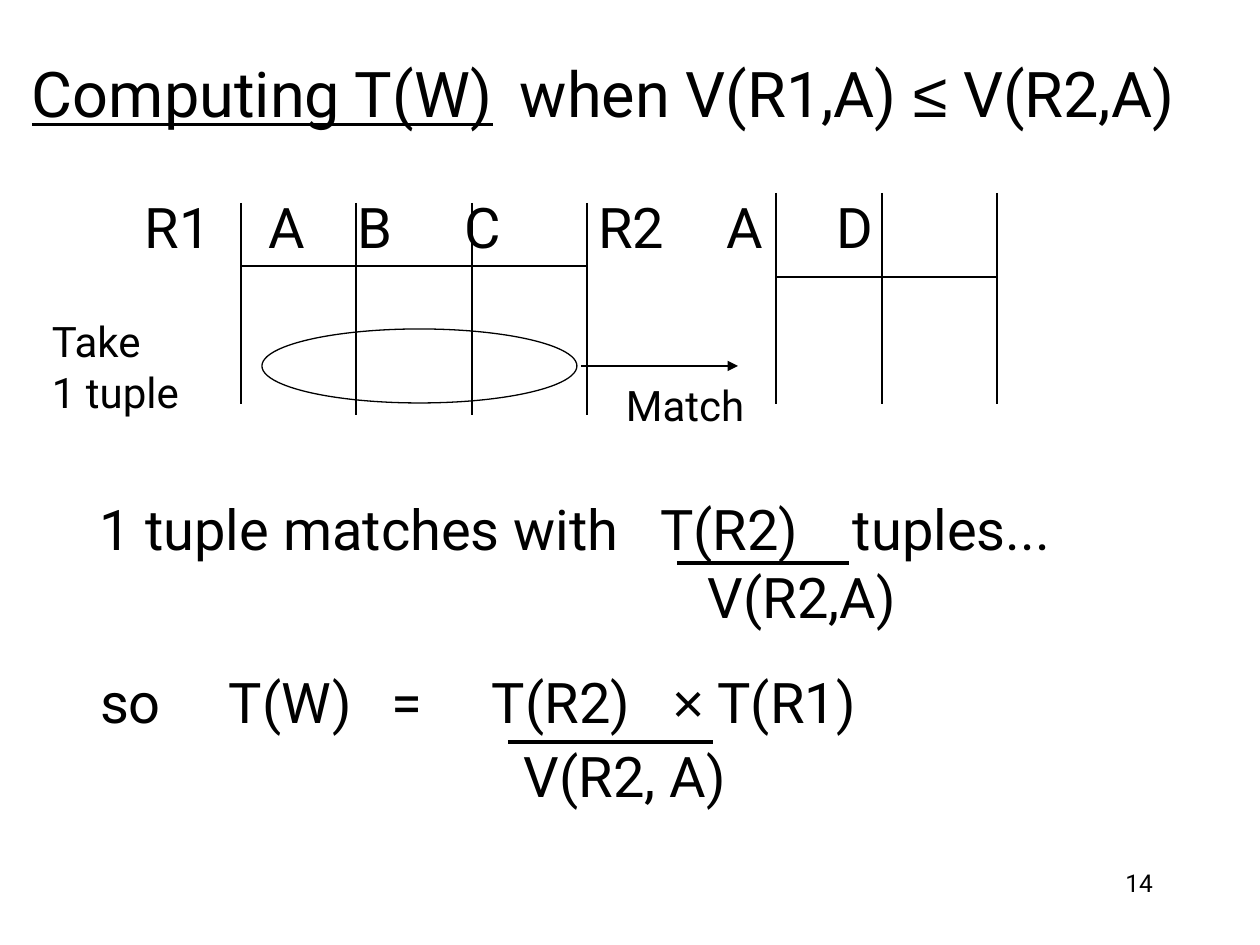
from lxml import etree
from pptx import Presentation
from pptx.dml.color import RGBColor
from pptx.enum.shapes import MSO_CONNECTOR, MSO_SHAPE
from pptx.enum.text import PP_ALIGN
from pptx.oxml.ns import qn
from pptx.util import Pt

LINE = MSO_CONNECTOR.STRAIGHT
OVAL = MSO_SHAPE.OVAL
LEFT, RIGHT = PP_ALIGN.LEFT, PP_ALIGN.RIGHT
SCALE = 914400 // 126
COLORS = {"ink": "000000"}
FONT, SIGN_FONT = "Roboto", "Arial"
SIGNS = "≤×"
INK = RGBColor.from_string(COLORS["ink"])


def px(*sizes):
    """Turn px lengths into EMU."""
    return [size * SCALE for size in sizes]


def add_text(slide, text, x, base, width, size=32, align=LEFT, under=False):
    """Add lines of text whose first baseline lies at base."""
    lines = text.split("\n")
    em = size * 1.75
    top, height = round(base - 0.93 * em), round(1.17 * em * len(lines))
    frame = slide.shapes.add_textbox(*px(x, top, width, height)).text_frame
    frame.word_wrap = True
    frame.margin_left = frame.margin_right = 0
    frame.margin_top = frame.margin_bottom = 0
    for i, line in enumerate(lines):
        para = frame.add_paragraph() if i else frame.paragraphs[0]
        para.alignment = align
        font = para.font
        font.size, font.underline = Pt(size), under
        font.color.rgb = INK
        signs = [c for c in line if c in SIGNS]
        if not signs:
            font.name = FONT
            para.add_run().text = line
            continue
        for part in line.partition(signs[0]):
            if part:
                run = para.add_run()
                run.text = part
                run.font.name = SIGN_FONT if part in SIGNS else FONT


def add_line(slide, x1, y1, x2, y2, width=0.75, arrow=False):
    """Add a straight line, with an arrowhead at its end if asked."""
    line = slide.shapes.add_connector(LINE, *px(x1, y1, x2, y2))
    line.line.color.rgb = INK
    line.line.width = Pt(width)
    if arrow:
        etree.SubElement(line.line._get_or_add_ln(), qn("a:tailEnd"), type="triangle")
    etree.SubElement(line._element.spPr, qn("a:effectLst"))


def add_grid(slide, cols, top, rule, ends):
    """Add the ruled outline of a relation."""
    add_line(slide, cols[0], rule, cols[-1], rule)
    for x, end in zip(cols, ends):
        add_line(slide, x, top, x, end)


def add_oval(slide, x, y, width, height):
    """Add an unfilled ellipse."""
    oval = slide.shapes.add_shape(OVAL, *px(x, y, width, height))
    oval.shadow.inherit = False
    oval.fill.background()
    oval.line.color.rgb = INK
    oval.line.width = Pt(0.75)


def add_row(slide, base, items):
    """Add texts that share a baseline."""
    for text, x, width in items:
        add_text(slide, text, x, base, width)


def main():
    """Build the slide."""
    deck = Presentation()
    deck.slide_width, deck.slide_height = px(1260, 945)
    slide = deck.slides.add_slide(deck.slide_layouts[6])

    add_text(slide, "Computing T(W)", 32, 114, 475, 36, under=True)
    add_text(slide, "when V(R1,A) ≤ V(R2,A)", 520, 114, 690, 36)

    add_grid(slide, [241, 356, 472, 587], 203, 266, [404, 415, 415, 415])
    add_grid(slide, [776, 882, 997], 193, 277, [404, 404, 404])
    add_row(slide, 245, [
        ("R1", 145, 80), ("A", 269, 50), ("B", 358, 50), ("C", 465, 50),
        ("R2", 598, 80), ("A", 727, 50), ("D", 837, 50),
    ])

    add_text(slide, "Take\n1 tuple", 52, 355, 140, 24)
    add_oval(slide, 262, 329, 315, 74)
    add_line(slide, 581, 366, 738, 366, arrow=True)
    add_text(slide, "Match", 626, 419, 130, 24)

    add_row(slide, 547, [
        ("1 tuple matches with", 100, 540), ("T(R2)", 660, 160),
        ("tuples...", 853, 220),
    ])
    add_line(slide, 677, 563, 849, 563, 2.25)
    add_row(slide, 615, [("V(R2,A)", 708, 210)])

    add_row(slide, 720, [
        ("so", 100, 80), ("T(W)", 229, 140), ("=", 392, 50),
        ("T(R2)", 492, 160), ("× T(R1)", 672, 220),
    ])
    add_line(slide, 508, 742, 713, 742, 2.25)
    add_row(slide, 794, [("V(R2, A)", 524, 230)])

    add_text(slide, "14", 1053, 891, 100, 14, RIGHT)
    deck.save("out.pptx")


if __name__ == "__main__":
    main()
